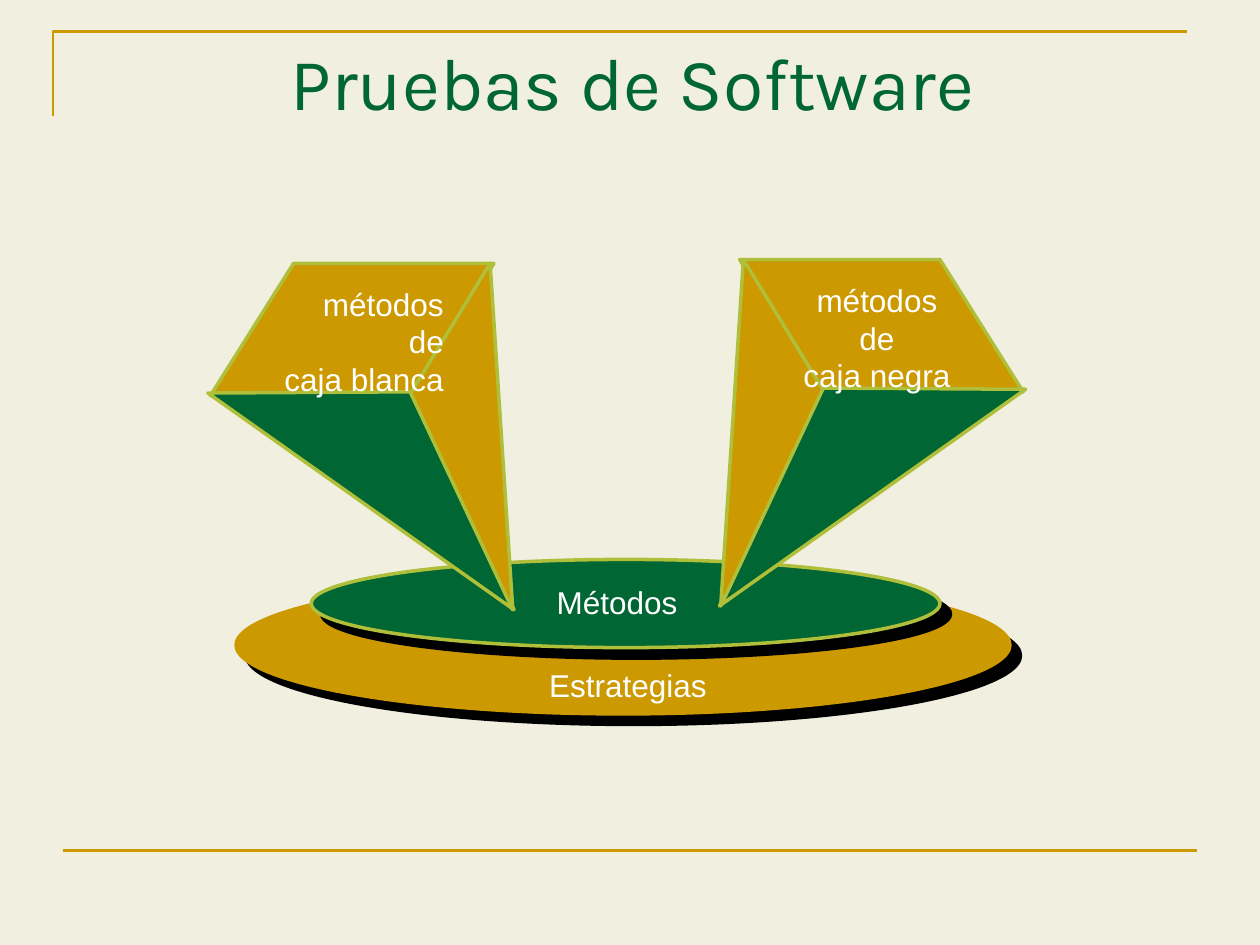
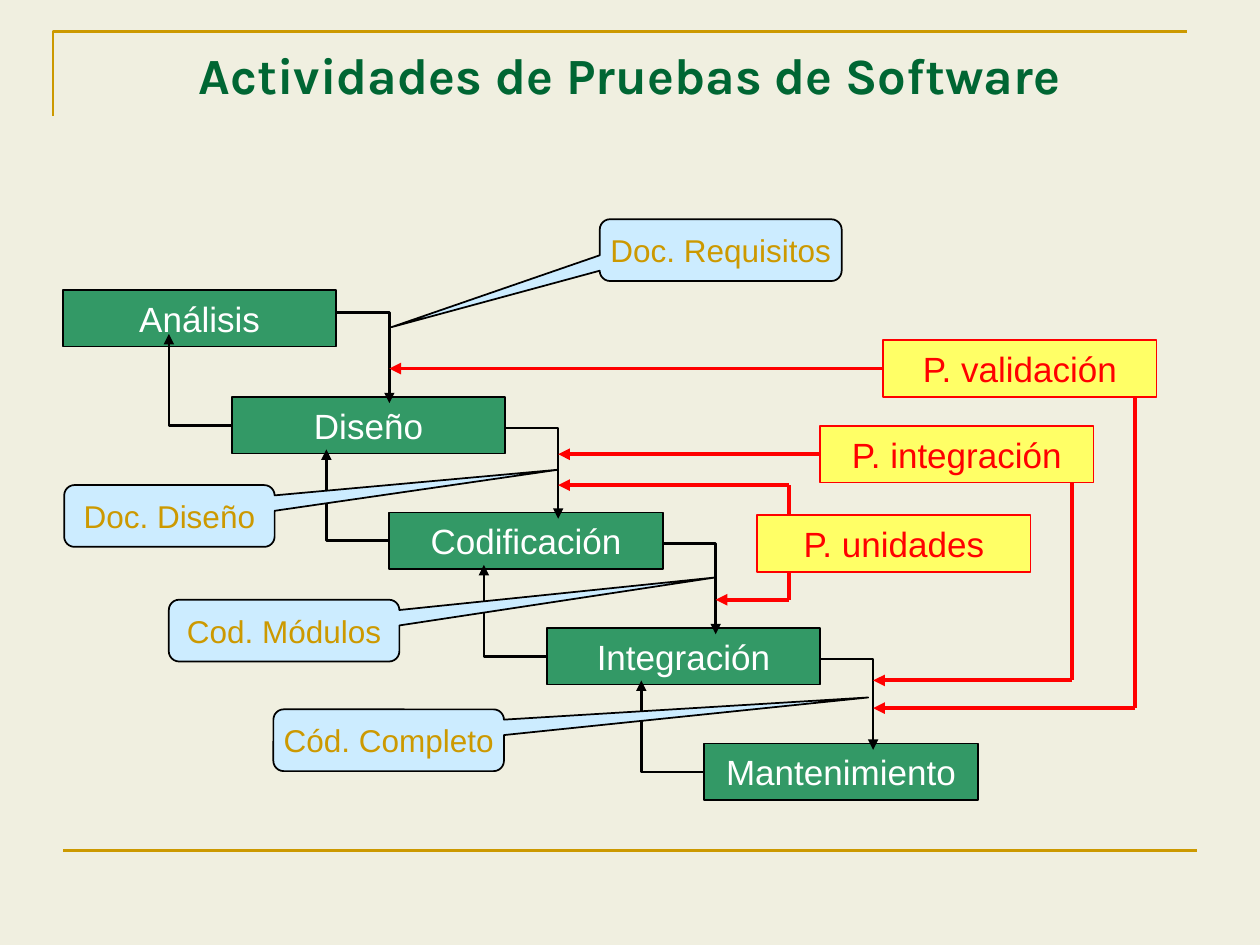
from itertools import pairwise

from lxml.etree import SubElement
from pptx import Presentation
from pptx.dml.color import RGBColor
from pptx.enum.shapes import MSO_CONNECTOR, MSO_SHAPE
from pptx.enum.text import MSO_ANCHOR, PP_ALIGN
from pptx.oxml.ns import qn
from pptx.util import Inches, Pt

COLORS = {
    "cream": "F0EFE0", "gold": "CC9900", "green": "006633", "lime": "AFBF39",
    "step": "339966", "sky": "CCECFF", "yellow": "FFFF66", "red": "FF0000",
    "black": "000000", "white": "FFFFFF",
}
BOX_W, BOX_H = 2.17, 0.45
CALLOUT_H = 0.49
TITLE_ONLY = 5


def rgb(name):
    return RGBColor.from_string(COLORS[name])


# Formatting helpers
def put_text(sp, text, size=18, color="white", font="Arial", bold=False,
             align=PP_ALIGN.CENTER, anchor=MSO_ANCHOR.MIDDLE, wrap=True):
    tf = sp.text_frame
    tf.text = text
    tf.word_wrap = wrap
    tf.vertical_anchor = anchor
    for p in tf.paragraphs:
        p.alignment = align
        for r in p.runs:
            r.font.size, r.font.name, r.font.bold = Pt(size), font, bold
            r.font.color.rgb = rgb(color)


def paint(sp, fill=None, line=None, width=1):
    sp.shadow.inherit = False
    if fill:
        sp.fill.solid()
        sp.fill.fore_color.rgb = rgb(fill)
    else:
        sp.fill.background()
    if line:
        sp.line.color.rgb = rgb(line)
        sp.line.width = Pt(width)
    else:
        sp.line.fill.background()


def drop_shadow(sp):
    effects = sp.element.spPr.find(qn("a:effectLst"))
    shadow = SubElement(effects, qn("a:outerShdw"), blurRad="0",
                        dist=str(Pt(8.5)), dir="2700000", algn="ctr", rotWithShape="0")
    SubElement(shadow, qn("a:srgbClr"), val=COLORS["black"])


# Element helpers
def add_title(slide, text, box, **fmt):
    sp = slide.shapes.title
    sp.left, sp.top, sp.width, sp.height = map(Inches, box)
    put_text(sp, text, color="green", font="Karla", **fmt)


def add_label(slide, text, box, **fmt):
    sp = slide.shapes.add_textbox(*map(Inches, box))
    put_text(sp, text, anchor=MSO_ANCHOR.TOP, **fmt)


def add_preset(slide, kind, box, **style):
    sp = slide.shapes.add_shape(kind, *map(Inches, box))
    paint(sp, **style)
    return sp


def add_box(slide, text, x, y, fill, line, color):
    sp = add_preset(slide, MSO_SHAPE.RECTANGLE, (x, y, BOX_W, BOX_H), fill=fill, line=line)
    put_text(sp, text, size=20, color=color)
    return sp


def add_callout(slide, text, x, y, w, tip):
    sp = add_preset(slide, MSO_SHAPE.ROUNDED_RECTANGULAR_CALLOUT,
                    (x, y, w, CALLOUT_H), fill="sky", line="black")
    sp.adjustments[0], sp.adjustments[1] = tip
    put_text(sp, text, color="gold", wrap=False)


def add_outline(slide, points, close=True, **style):
    start, *rest = [(Inches(x), Inches(y)) for x, y in points]
    builder = slide.shapes.build_freeform(*start)
    builder.add_line_segments(rest, close=close)
    sp = builder.convert_to_shape()
    paint(sp, **style)
    return sp


def add_line(slide, start, end, color, width, arrow=False, kind=MSO_CONNECTOR.STRAIGHT):
    c = slide.shapes.add_connector(kind, *map(Inches, (*start, *end)))
    c.line.color.rgb = rgb(color)
    c.line.width = Pt(width)
    spPr = c._element.spPr
    if arrow:
        SubElement(spPr.find(qn("a:ln")), qn("a:tailEnd"), type="triangle")
    SubElement(spPr, qn("a:effectLst"))
    return c


def add_elbow(slide, start, end):
    """One-bend arrow: horizontal first, then vertical."""
    c = add_line(slide, start, end, "black", 1.5, arrow=True, kind=MSO_CONNECTOR.ELBOW)
    spPr = c._element.spPr
    spPr.find(qn("a:prstGeom")).set("prst", "bentConnector2")
    if end[0] < start[0]:
        xfrm = spPr.find(qn("a:xfrm"))
        for flip in ("flipH", "flipV"):
            xfrm.attrib.pop(flip, None)
        xfrm.set("rot", "10800000")


def add_route(slide, points):
    """Red path of straight pieces with an arrowhead at its end."""
    for start, end in pairwise(points):
        add_line(slide, start, end, "red", 2.25, arrow=end == points[-1])


# Shared background and frame, kept on the master
def set_master(prs, slide):
    master = prs.slide_master
    master.background.fill.solid()
    master.background.fill.fore_color.rgb = rgb("cream")
    corner = add_outline(slide, [(0.42, 0.92), (0.42, 0.25), (9.42, 0.25)],
                         close=False, line="gold", width=1.5)
    rule = add_line(slide, (0.5, 6.75), (9.5, 6.75), "gold", 1.5)
    for sp in (corner, rule):
        master.shapes.element.append(sp._element)


# Slide 1: two prisms on a two-level base
def draw_methods(slide):
    add_title(slide, "Pruebas de Software", (1.29, 0.32, 7.46, 0.65), size=42)

    for box, style in [
        ((1.86, 4.56, 6.17, 1.12), {"fill": "gold"}),
        ((2.47, 4.44, 4.99, 0.7), {"fill": "green", "line": "lime", "width": 2}),
    ]:
        drop_shadow(add_preset(slide, MSO_SHAPE.OVAL, box, **style))

    prism = [
        ("gold", [(3.92, 2.09), (2.33, 2.09), (1.67, 3.14), (3.29, 3.14)]),
        ("green", [(1.65, 3.12), (4.08, 4.84), (3.26, 3.11)]),
        ("gold", [(4.07, 4.84), (3.26, 3.12), (3.89, 2.09)]),
    ]
    mirrored = [(fill, [(9.79 - x, y - 0.03) for x, y in face]) for fill, face in prism]
    for fill, face in prism + mirrored:
        add_outline(slide, face, fill=fill, line="lime", width=2)

    add_label(slide, "Métodos", (4.32, 4.58, 1.16, 0.4), align=PP_ALIGN.LEFT, wrap=False)
    add_label(slide, "Estrategias", (4.26, 5.24, 1.45, 0.4), align=PP_ALIGN.LEFT, wrap=False)
    add_label(slide, "métodos de\ncaja blanca", (2.14, 2.21, 1.48, 0.7), align=PP_ALIGN.RIGHT)
    add_label(slide, "métodos de\ncaja negra", (6.22, 2.18, 1.48, 0.7))


# Slide 2: life-cycle cascade with its documents and tests
def draw_activities(slide):
    add_title(slide, "Actividades de Pruebas de Software", (0.5, 0.3, 9, 1.25),
              size=29, bold=True, anchor=MSO_ANCHOR.TOP)

    # Steps of the cascade
    names = ["Análisis", "Diseño", "Codificación", "Integración", "Mantenimiento"]
    places = [(0.5, 2.3)] + [(1.84 + 1.25 * i, 3.15 + 0.917 * i) for i in range(4)]
    for name, (x, y) in zip(names, places):
        add_box(slide, name, x, y, "step", "black", "white")

    # Arrows forward and back between neighbouring steps
    wires = []
    for (x, _), (next_x, next_y) in pairwise(places):
        right = x + BOX_W
        wires.append(right + 0.42)
        add_elbow(slide, (right, next_y - 0.67), (right + 0.42, next_y + 0.05))
        add_elbow(slide, (next_x, next_y + BOX_H / 2), (next_x - 0.5, next_y - 0.5))
    analysis, design, coding, integration = wires

    # Tests: name, place, offset of the drop line, wire and height it reaches
    tests = [
        ("P. unidades", 6.01, 4.09, 0.25, coding, 4.76),
        ("P. integración", 6.51, 3.38, 2, integration, 5.4),
        ("P. validación", 7.01, 2.7, 2, integration, 5.62),
    ]
    boxes = []
    for name, x, y, offset, wire, low in tests:
        boxes.append(add_box(slide, name, x, y, "yellow", "red", "red"))
        drop = x + offset
        add_route(slide, [(drop, y + BOX_H), (drop, low), (wire, low)])
    add_route(slide, [(6.26, 4.09), (6.26, 3.85), (design, 3.85)])
    for sp, (_, x, y, *_), wire in zip(boxes[1:], tests[1:], (design, analysis)):
        middle = y + BOX_H / 2
        c = add_line(slide, (x, middle), (wire, middle), "red", 2.25, arrow=True)
        c.begin_connect(sp, 1)

    # Documents
    for text, x, y, w, tip in [
        ("Doc. Diseño", 0.51, 3.85, 1.67, (1.847, -0.749)),
        ("Cod. Módulos", 1.34, 4.76, 1.83, (1.87, -0.861)),
        ("Cód. Completo", 2.17, 5.63, 1.83, (2.08, -0.693)),
        ("Doc. Requisitos", 4.76, 1.74, 1.92, (-1.361, 1.247)),
    ]:
        add_callout(slide, text, x, y, w, tip)


def main():
    prs = Presentation()
    prs.slide_width, prs.slide_height = Inches(10), Inches(7.5)
    layout = prs.slide_layouts[TITLE_ONLY]
    methods, activities = [prs.slides.add_slide(layout) for _ in range(2)]
    set_master(prs, methods)
    draw_methods(methods)
    draw_activities(activities)
    prs.save("out.pptx")


if __name__ == "__main__":
    main()
